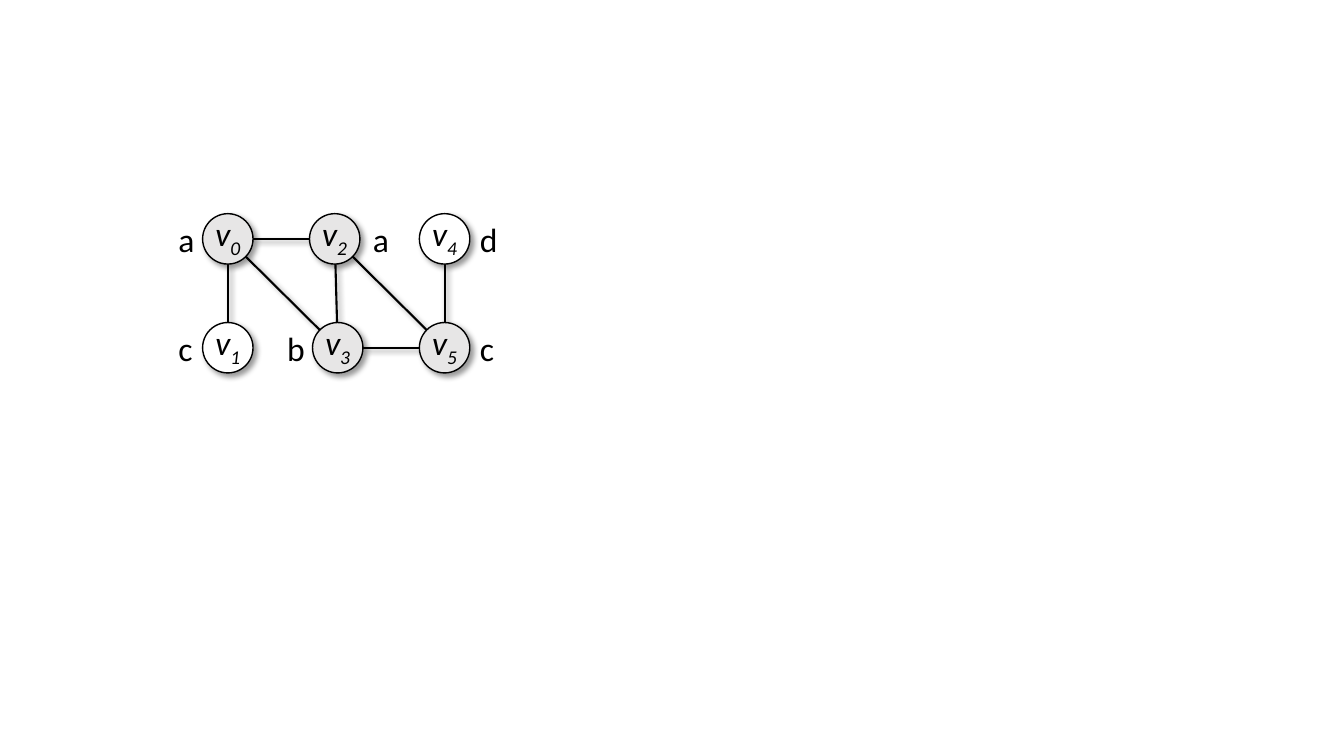
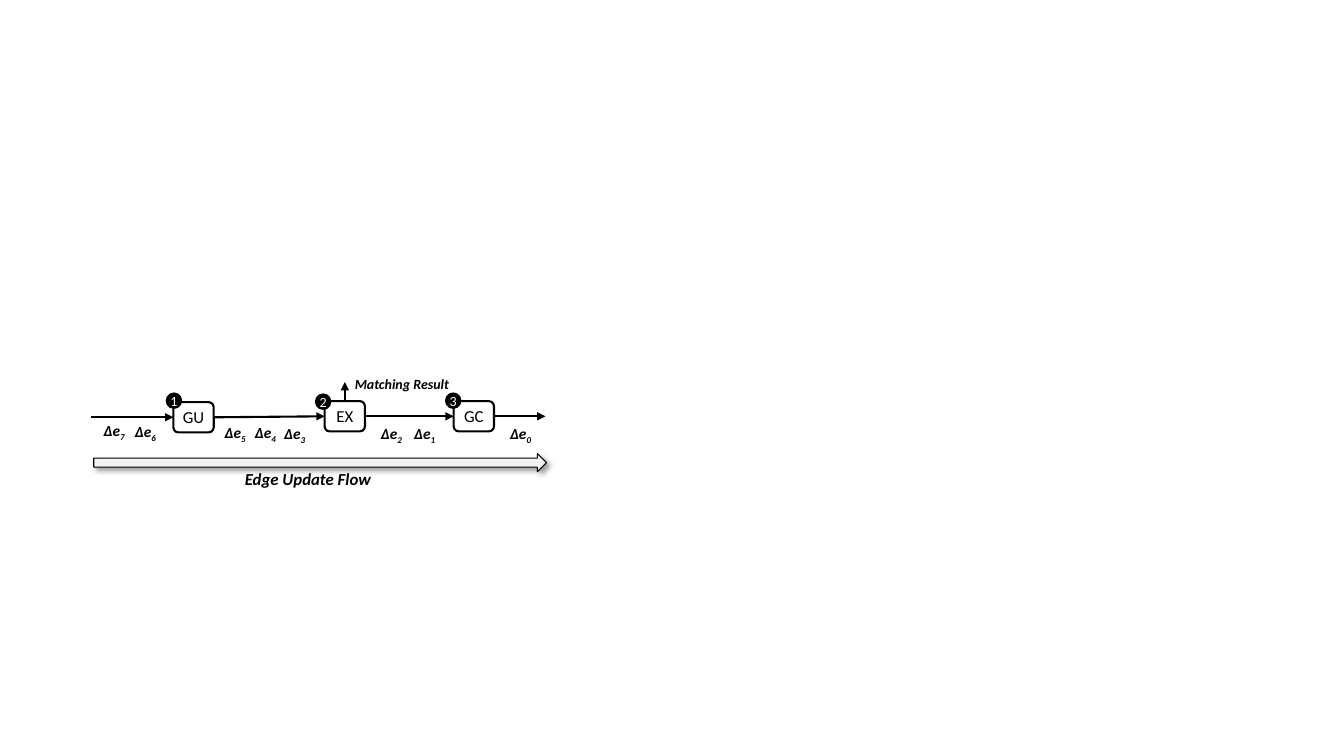
from dataclasses import dataclass
from math import hypot

from lxml import etree
from pptx import Presentation
from pptx.dml.color import RGBColor
from pptx.enum.shapes import MSO_CONNECTOR, MSO_SHAPE
from pptx.enum.text import MSO_ANCHOR, MSO_AUTO_SIZE, PP_ALIGN
from pptx.oxml.ns import qn
from pptx.util import Inches, Pt

STRAIGHT = MSO_CONNECTOR.STRAIGHT
OVAL, ROUNDED, ARROW = MSO_SHAPE.OVAL, MSO_SHAPE.ROUNDED_RECTANGLE, MSO_SHAPE.RIGHT_ARROW
MIDDLE, CENTER, GROW = MSO_ANCHOR.MIDDLE, PP_ALIGN.CENTER, MSO_AUTO_SIZE.SHAPE_TO_FIT_TEXT

FONT = "Calibri"
BLACK, WHITE, GREY, PALE = "000000", "FFFFFF", "E7E6E6", "F2F2F0"
TOP, LEFT, RIGHT = 0, 1, 3
NODE_D = 0.5
BOX_W, BOX_H = 0.4, 0.3
BADGE_D = 0.15
FLOW_Y = 4.13


@dataclass
class Node:
    x: float
    y: float
    label: str
    label_x: float
    fill: str

    @property
    def center(self) -> tuple[float, float]:
        return self.x + NODE_D / 2, self.y + NODE_D / 2


@dataclass
class Stage:
    name: str
    x: float
    y: float
    badge_x: float
    badge_y: float


@dataclass
class Update:
    index: int
    x: float
    y: float
    w: float = 0.42
    wrap: bool = False


ROW_1, ROW_2 = 2.12, 3.2
NODES = [
    Node(2.01, ROW_1, "a", 1.67, GREY),
    Node(2.01, ROW_2, "c", 1.67, WHITE),
    Node(3.07, ROW_1, "a", 3.6, GREY),
    Node(3.1, ROW_2, "b", 2.75, GREY),
    Node(4.16, ROW_1, "d", 4.66, WHITE),
    Node(4.16, ROW_2, "c", 4.66, GREY),
]
EDGES = [(0, 1), (0, 3), (2, 3), (0, 2), (2, 5), (4, 5), (3, 5)]

STAGES = [
    Stage("GU", 1.72, 3.99, 1.65, 3.9),
    Stage("EX", 3.22, 3.98, 3.13, 3.91),
    Stage("GC", 4.5, 3.98, 4.42, 3.9),
]
UPDATES = [
    Update(0, 4.96, 4.16),
    Update(1, 4.01, 4.16),
    Update(2, 3.68, 4.16),
    Update(3, 2.72, 4.16),
    Update(4, 2.43, 4.15),
    Update(5, 2.13, 4.15, 0.45, True),
    Update(6, 1.24, 4.14),
    Update(7, 0.93, 4.13),
]


def rgb(color: str) -> RGBColor:
    return RGBColor.from_string(color)


def set_effects(sp, shadow: bool) -> None:
    """Replace the theme's effects by the soft drop shadow, or by none."""
    effects = etree.SubElement(sp._element.spPr, qn("a:effectLst"))
    if shadow:
        outer = etree.SubElement(
            effects, qn("a:outerShdw"), blurRad=str(Pt(4)), dist=str(Pt(3)),
            dir="2700000", algn="tl", rotWithShape="0")
        color = etree.SubElement(outer, qn("a:srgbClr"), val=BLACK)
        etree.SubElement(color, qn("a:alpha"), val="40000")


def write(sp, text: str, size: float, sub: str = "", color: str = BLACK,
          wrap: bool = True, **font_format) -> None:
    """Write one paragraph, with an optional subscript at its end."""
    tf = sp.text_frame
    tf.word_wrap = wrap
    p = tf.paragraphs[0]
    values = {"name": FONT, "size": Pt(size), **font_format}
    for part in filter(None, (text, sub)):
        r = p.add_run()
        r.text = part
        for name, value in values.items():
            setattr(r.font, name, value)
        r.font.color.rgb = rgb(color)
    if sub:
        r.font._element.set("baseline", "-25000")


def add_label(s, x: float, y: float, w: float, h: float, text: str,
              size: float, **text_format) -> None:
    sp = s.shapes.add_textbox(Inches(x), Inches(y), Inches(w), Inches(h))
    write(sp, text, size, **text_format)
    sp.text_frame.auto_size = GROW


def add_block(s, kind, x: float, y: float, w: float, h: float,
              fill: str | None, line: float, shadow: bool = False):
    """Add an outlined preset shape whose text is centred."""
    sp = s.shapes.add_shape(kind, Inches(x), Inches(y), Inches(w), Inches(h))
    if fill:
        sp.fill.solid()
        sp.fill.fore_color.rgb = rgb(fill)
    else:
        sp.fill.background()
    sp.line.color.rgb = rgb(BLACK)
    sp.line.width = Pt(line)
    set_effects(sp, shadow)
    sp.text_frame.vertical_anchor = MIDDLE
    sp.text_frame.paragraphs[0].alignment = CENTER
    return sp


def add_line(s, x1: float, y1: float, x2: float, y2: float,
             shadow: bool = False, arrow: bool = False):
    cxn = s.shapes.add_connector(STRAIGHT, Inches(x1), Inches(y1), Inches(x2), Inches(y2))
    cxn.line.color.rgb = rgb(BLACK)
    cxn.line.width = Pt(1.5)
    if arrow:
        etree.SubElement(cxn.line._get_or_add_ln(), qn("a:tailEnd"), type="triangle")
    set_effects(cxn, shadow)
    return cxn


def add_edge(s, a: Node, b: Node) -> None:
    """Join the rims of two nodes along the line between their centres."""
    (x1, y1), (x2, y2) = a.center, b.center
    k = NODE_D / 2 / hypot(x2 - x1, y2 - y1)
    dx, dy = k * (x2 - x1), k * (y2 - y1)
    add_line(s, x1 + dx, y1 + dy, x2 - dx, y2 - dy, shadow=True)


def add_node(s, index: int, node: Node) -> None:
    sp = add_block(s, OVAL, node.x, node.y, NODE_D, NODE_D, node.fill, 1, shadow=True)
    sp.text_frame.margin_bottom = Inches(0.1)
    write(sp, "v", 24, sub=str(index), wrap=False, italic=True)
    add_label(s, node.label_x, node.y, 0.41, 0.5, node.label, 24)


def add_stage(s, stage: Stage):
    sp = add_block(s, ROUNDED, stage.x, stage.y, BOX_W, BOX_H, None, 1.5)
    write(sp, stage.name, 12, wrap=False)
    return sp


def add_badge(s, number: int, stage: Stage) -> None:
    sp = add_block(s, OVAL, stage.badge_x, stage.badge_y, BADGE_D, BADGE_D, BLACK, 1)
    write(sp, str(number), 10, color=WHITE)


def build_graph(s) -> None:
    for a, b in EDGES:
        add_edge(s, NODES[a], NODES[b])
    for index, node in enumerate(NODES):
        add_node(s, index, node)


def build_pipeline(s) -> None:
    bold_italic = {"bold": True, "italic": True}
    boxes = [add_stage(s, stage) for stage in STAGES]
    for number, stage in enumerate(STAGES, 1):
        add_badge(s, number, stage)
    for u in UPDATES:
        add_label(s, u.x, u.y, u.w, 0.29, "Δe", 11, sub=str(u.index), wrap=u.wrap,
                  **bold_italic)

    stops = [0.9, *(stage.x for stage in STAGES), 5.41]
    sources, targets = [None, *boxes], [*boxes, None]
    for x1, x2, source, target in zip(stops, stops[1:], sources, targets):
        y = FLOW_Y if source else FLOW_Y + 0.01
        cxn = add_line(s, x1, y, x2, y, arrow=True)
        if source:
            cxn.begin_connect(source, RIGHT)
        if target:
            cxn.end_connect(target, LEFT)

    match_x = STAGES[1].x + BOX_W / 2
    result = add_line(s, match_x, STAGES[1].y, match_x, 3.79, arrow=True)
    result.begin_connect(boxes[1], TOP)
    add_label(s, match_x, 3.68, 1.15, 0.27, "Matching Result", 10, wrap=False, **bold_italic)
    add_label(s, 2.33, 4.6, 1.58, 0.3, "Edge Update Flow", 12, **bold_italic)
    add_block(s, ARROW, 0.93, 4.5, 4.49, 0.18, PALE, 0.75, shadow=True)


def main() -> None:
    prs = Presentation()
    prs.slide_width, prs.slide_height = Inches(13.33), Inches(7.5)
    for build in (build_graph, build_pipeline):
        build(prs.slides.add_slide(prs.slide_layouts[6]))
    prs.save("out.pptx")


if __name__ == "__main__":
    main()
